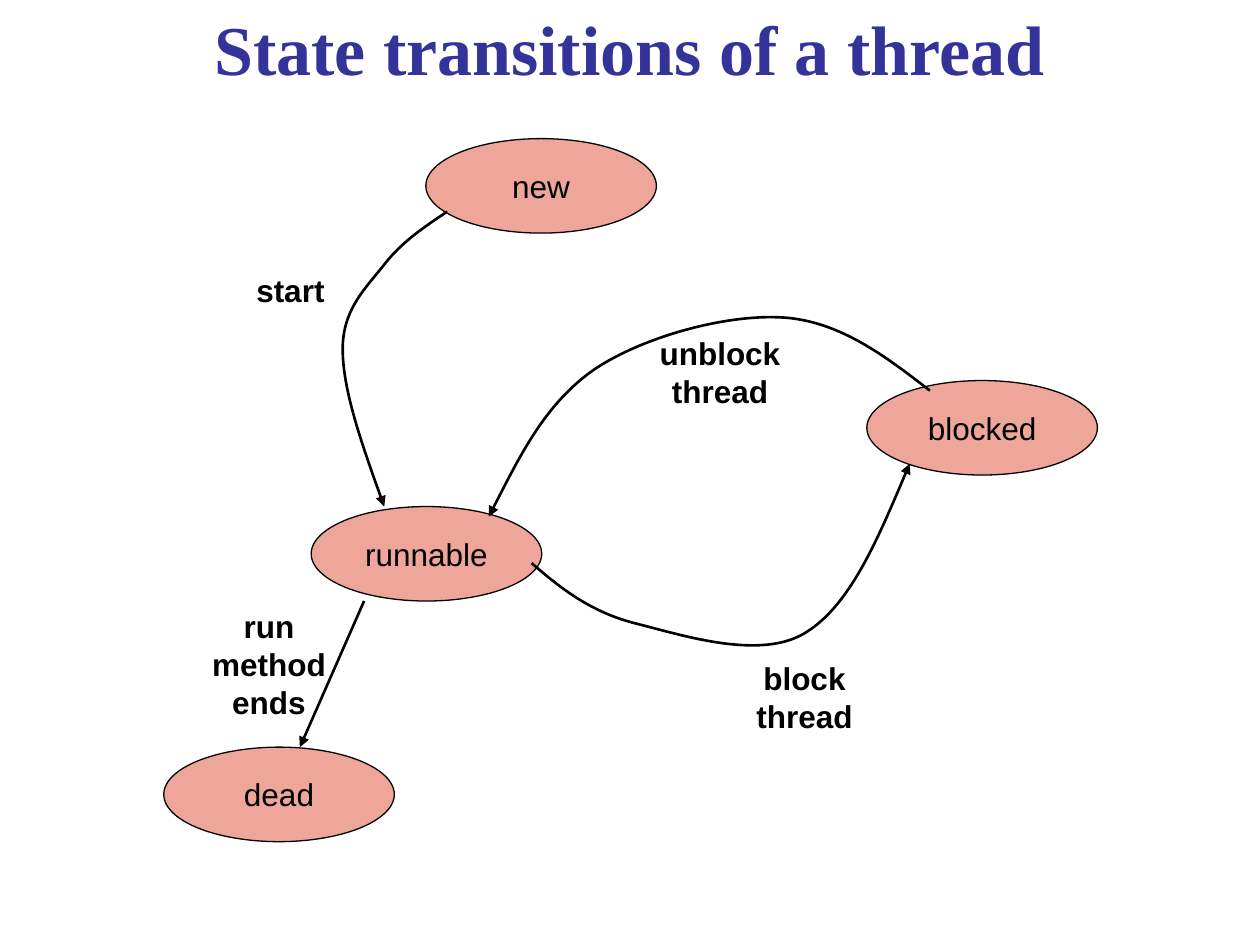
from dataclasses import dataclass
from pptx import Presentation
from pptx import util as u
from pptx.dml.color import RGBColor
from pptx.enum import shapes, text
from pptx.oxml import ns
from lxml import etree


@dataclass(frozen=True)
class Theme:
    title_color: RGBColor = RGBColor(0x33, 0x33, 0x99)
    ink: RGBColor = RGBColor(0, 0, 0)
    state_fill: RGBColor = RGBColor(0xEE, 0xA6, 0x9A)
    title_font: str = "Times New Roman"
    body_font: str = "Arial"
    title_size: int = 40
    body_size: int = 18
    outline: float = 0.74
    arrow: float = 1.5


theme = Theme()


def write(frame, wording, font, size, color, bold):
    frame.auto_size = text.MSO_AUTO_SIZE.NONE
    para = frame.paragraphs[0]
    para.alignment = text.PP_ALIGN.CENTER
    span = para.add_run()
    span.text = wording
    span.font.name = font
    span.font.size = u.Pt(size)
    span.font.color.rgb = color
    span.font.bold = bold


def style_arrow(arrow):
    arrow.line.color.rgb = theme.ink
    arrow.line.width = u.Pt(theme.arrow)
    properties = arrow._element.spPr
    etree.SubElement(properties.find(ns.qn("a:ln")), ns.qn("a:tailEnd"), type="triangle")
    if properties.find(ns.qn("a:effectLst")) is None:
        etree.SubElement(properties, ns.qn("a:effectLst"))


deck = Presentation()
deck.slide_width, deck.slide_height = u.Inches(10), u.Inches(7.5)
page = deck.slides.add_slide(deck.slide_layouts[5])

title = page.shapes.title
title.left, title.top = u.Inches(0.33), u.Inches(-0.01)
title.width, title.height = u.Inches(9.33), u.Inches(0.77)
title.text_frame.vertical_anchor = text.MSO_ANCHOR.MIDDLE
write(title.text_frame, "State transitions of a thread", theme.title_font,
      theme.title_size, theme.title_color, True)

states = [
    ("dead", 1.3, 5.93),
    ("runnable", 2.47, 4.02),
    ("new", 3.38, 1.1),
    ("blocked", 6.88, 3.02),
]
for name, left, top in states:
    state = page.shapes.add_shape(shapes.MSO_SHAPE.OVAL, u.Inches(left), u.Inches(top),
                                  u.Inches(1.83), u.Inches(0.75))
    state.shadow.inherit = False
    state.fill.solid()
    state.fill.fore_color.rgb = theme.state_fill
    state.line.color.rgb = theme.ink
    state.line.width = u.Pt(theme.outline)
    state.text_frame.word_wrap = False
    state.text_frame.vertical_anchor = text.MSO_ANCHOR.MIDDLE
    write(state.text_frame, name, theme.body_font, theme.body_size, theme.ink, False)

start_curve = [(3.55, 1.68), (3.37, 1.8), (3.19, 1.92), (3.05, 2.1),
               (2.91, 2.28), (2.72, 2.45), (2.72, 2.77),
               (2.72, 3.09), (2.88, 3.55), (3.05, 4.02)]
unblock_curve = [(7.38, 3.1), (7.02, 2.82), (6.66, 2.55), (6.22, 2.52),
                 (5.77, 2.49), (5.11, 2.67), (4.72, 2.93),
                 (4.33, 3.2), (4.11, 3.65), (3.88, 4.1)]
block_curve = [(4.22, 4.47), (4.45, 4.67), (4.69, 4.86), (5.05, 4.95),
               (5.41, 5.04), (6.02, 5.24), (6.38, 5.03),
               (6.74, 4.82), (6.98, 4.25), (7.22, 3.68)]
for curve in (start_curve, unblock_curve, block_curve):
    points = [(u.Inches(x), u.Inches(y)) for x, y in curve]
    builder = page.shapes.build_freeform(*points[0])
    builder.add_line_segments(points[1:], close=False)
    transition = builder.convert_to_shape()
    transition.shadow.inherit = False
    transition.fill.background()
    segments = list(transition._element.iter(ns.qn("a:lnTo")))
    for first in range(0, len(segments), 3):
        outline = segments[first].getparent()
        bezier = etree.SubElement(outline, ns.qn("a:cubicBezTo"))
        for segment in segments[first:first + 3]:
            bezier.append(segment[0])
            outline.remove(segment)
    style_arrow(transition)

ending = page.shapes.add_connector(shapes.MSO_CONNECTOR.STRAIGHT, u.Inches(2.89),
                                   u.Inches(4.77), u.Inches(2.38), u.Inches(5.93))
style_arrow(ending)

labels = [
    ("start", 1.72, 2.1, 1.17, 0.4),
    ("unblock thread", 5.05, 2.6, 1.33, 0.7),
    ("block thread", 5.72, 5.18, 1.33, 0.7),
    ("run method ends", 1.47, 4.77, 1.33, 1),
]
for wording, *place in labels:
    box = page.shapes.add_textbox(*map(u.Inches, place))
    box.text_frame.word_wrap = True
    write(box.text_frame, wording, theme.body_font, theme.body_size, theme.ink, True)

deck.save("out.pptx")
